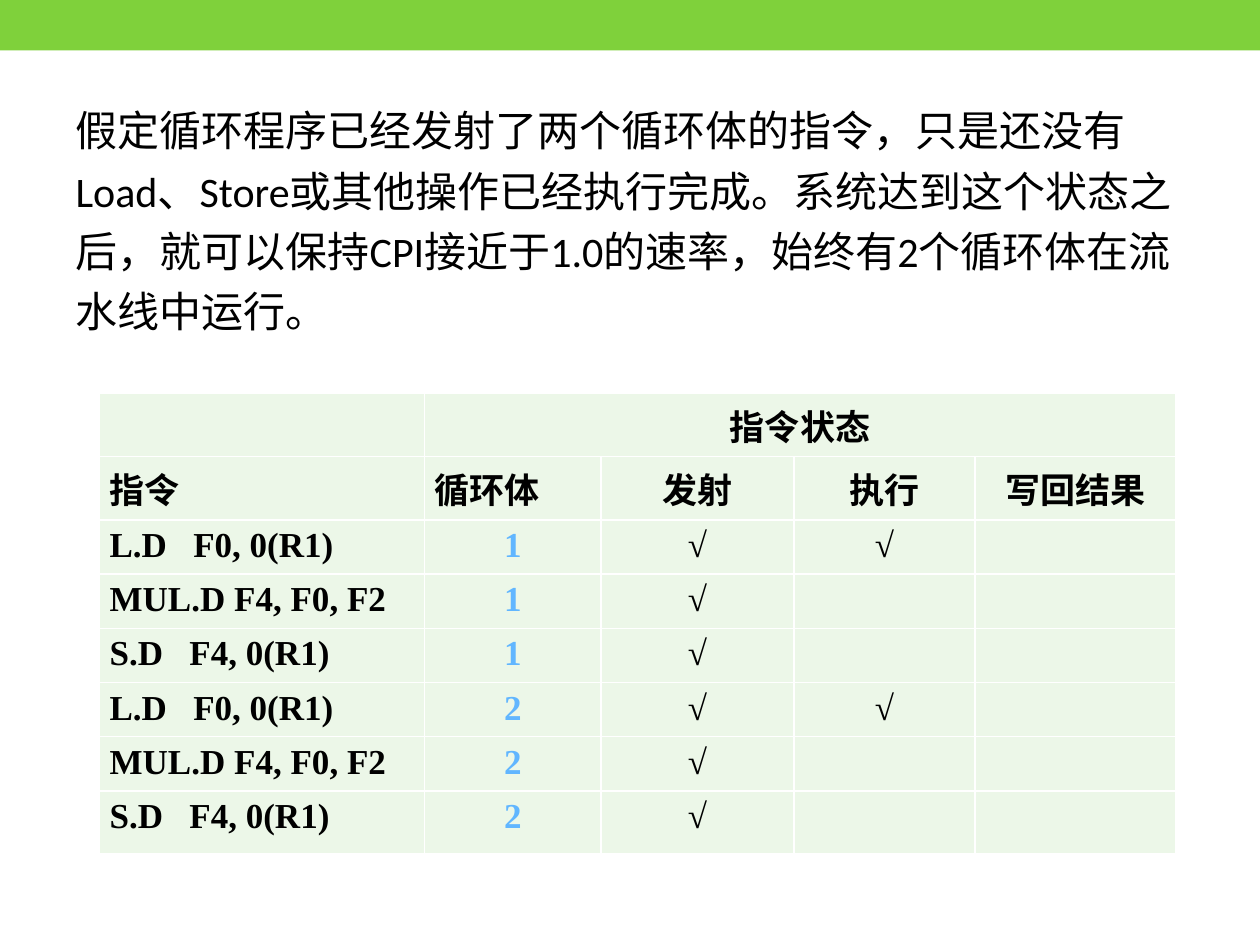
from dataclasses import dataclass

from lxml.etree import SubElement
from pptx import Presentation
from pptx.dml.color import RGBColor
from pptx.enum.shapes import MSO_SHAPE as Shape
from pptx.enum.text import MSO_ANCHOR as Anchor, MSO_AUTO_SIZE as AutoSize, PP_ALIGN as Align
from pptx.oxml import parse_xml
from pptx.oxml.ns import nsdecls, qn
from pptx.util import Inches, Pt

GREEN = RGBColor(0x7F, 0xD1, 0x3B)
PALE_GREEN = RGBColor(0xEC, 0xF7, 0xE8)
BLUE = RGBColor(0x61, 0xB6, 0xFF)
BLACK = RGBColor(0, 0, 0)
CELL_BORDER = "FFFFFF"

COLUMN_WIDTHS = (2.58, 1.4, 1.53, 1.44, 1.59)
ROW_HEIGHTS = (0.5, 0.5, *[0.43] * 5, 0.5)
CELL_FORMAT = dict(margin_left=Inches(0.08), margin_right=Inches(0.08),
                   margin_top=Inches(0.05), margin_bottom=Inches(0.05),
                   vertical_anchor=Anchor.TOP)
TABLE_FONT = dict(name="Times New Roman", size=Pt(20), bold=True)
BODY_FONT = dict(name="Calibri", size=Pt(24))

EXPLANATION = ("假定循环程序已经发射了两个循环体的指令，只是还没有Load、Store或其他操作"
               "已经执行完成。系统达到这个状态之后，就可以保持CPI接近于1.0的速率，"
               "始终有2个循环体在流水线中运行。")
HEADINGS = ("指令", "循环体", "发射", "执行", "写回结果")
CHECK = "√"


@dataclass(frozen=True)
class Instruction:
    code: str
    executed: bool = False


LOOP_BODY = (
    Instruction("L.D   F0, 0(R1)", executed=True),
    Instruction("MUL.D F4, F0, F2"),
    Instruction("S.D   F4, 0(R1)"),
)


def apply_format(target, values: dict) -> None:
    for attribute, value in values.items():
        setattr(target, attribute, value)


def add_banner(slide, width: int, height: int) -> None:
    banner = slide.shapes.add_shape(Shape.RECTANGLE, 0, 0, width, height)
    banner.shadow.inherit = False
    banner.fill.solid()
    banner.fill.fore_color.rgb = GREEN
    banner.line.fill.background()


def fill_explanation(body) -> None:
    apply_format(body, dict(left=Inches(0.5), top=Inches(0.7),
                            width=Inches(9), height=Inches(5.33)))
    frame = body.text_frame
    apply_format(frame, dict(text=EXPLANATION, word_wrap=True,
                             auto_size=AutoSize.NONE, vertical_anchor=Anchor.TOP))
    paragraph = frame.paragraphs[0]
    apply_format(paragraph, dict(line_spacing=1.2, space_before=Pt(4.8), alignment=Align.LEFT))
    properties = paragraph._p.get_or_add_pPr()
    properties.set("marL", "0")
    properties.set("indent", "0")
    SubElement(properties, qn("a:buNone"))
    font = paragraph.runs[0].font
    apply_format(font, BODY_FONT)
    font.color.rgb = BLACK


def style_cell(cell) -> None:
    """Give the cell its fill, margins and thin border on all four sides."""
    apply_format(cell, CELL_FORMAT)
    cell.fill.solid()
    cell.fill.fore_color.rgb = PALE_GREEN
    properties = cell._tc.get_or_add_tcPr()
    for position, side in enumerate(("lnL", "lnR", "lnT", "lnB")):
        properties.insert(position, parse_xml(
            f'<a:{side} {nsdecls("a")} w="{Pt(1)}"><a:solidFill>'
            f'<a:srgbClr val="{CELL_BORDER}"/></a:solidFill></a:{side}>'))


def write_cell(cell, text: str, alignment: Align, color: RGBColor) -> None:
    paragraph = cell.text_frame.paragraphs[0]
    paragraph.alignment = alignment
    run = paragraph.add_run()
    run.text = text
    apply_format(run.font, TABLE_FONT)
    run.font.color.rgb = color


def add_status_table(slide) -> None:
    table = slide.shapes.add_table(
        len(ROW_HEIGHTS), len(COLUMN_WIDTHS), Inches(0.79), Inches(3.12),
        Inches(sum(COLUMN_WIDTHS)), Inches(sum(ROW_HEIGHTS))).table
    apply_format(table, dict(first_row=False, horz_banding=False))
    for column, width in zip(table.columns, COLUMN_WIDTHS):
        column.width = Inches(width)
    for row, height in zip(table.rows, ROW_HEIGHTS):
        row.height = Inches(height)
    for cell in table.iter_cells():
        style_cell(cell)

    table.cell(0, 1).merge(table.cell(0, 4))
    iterations = [(step.code, str(iteration), CHECK, CHECK if step.executed else "", "")
                  for iteration in (1, 2) for step in LOOP_BODY]
    rows = [("", "指令状态"), HEADINGS, *iterations]
    for r, texts in enumerate(rows):
        for c, text in enumerate(texts):
            if text:
                justified = c == 0 or (r == 1 and c == 1)
                write_cell(table.cell(r, c), text,
                           Align.JUSTIFY if justified else Align.CENTER,
                           BLUE if r > 1 and c == 1 else BLACK)


def main() -> None:
    deck = Presentation()
    deck.slide_width, deck.slide_height = Inches(10), Inches(7.5)
    slide = deck.slides.add_slide(deck.slide_layouts.get_by_name("Title and Content"))
    title = slide.shapes.title._element
    title.getparent().remove(title)
    add_banner(slide, deck.slide_width, Inches(0.4))
    fill_explanation(slide.placeholders[1])
    add_status_table(slide)
    deck.save("out.pptx")


if __name__ == "__main__":
    main()
